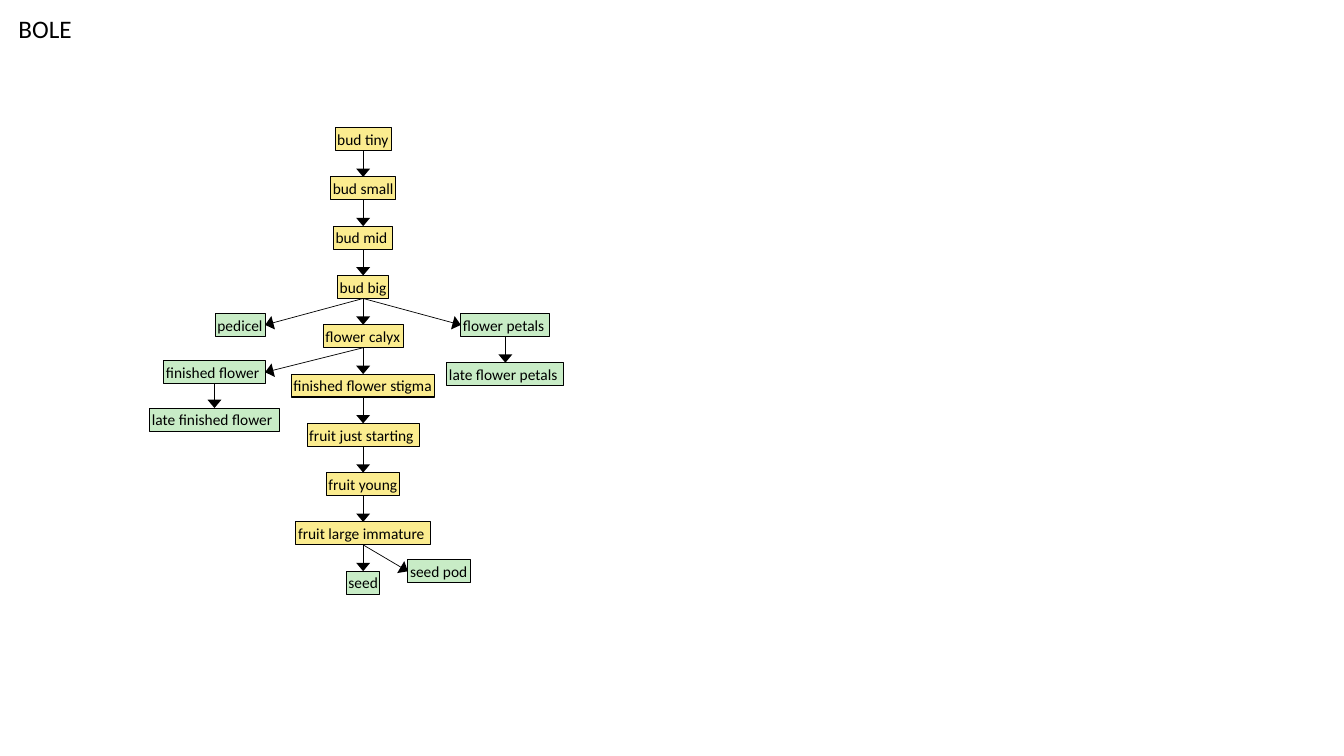
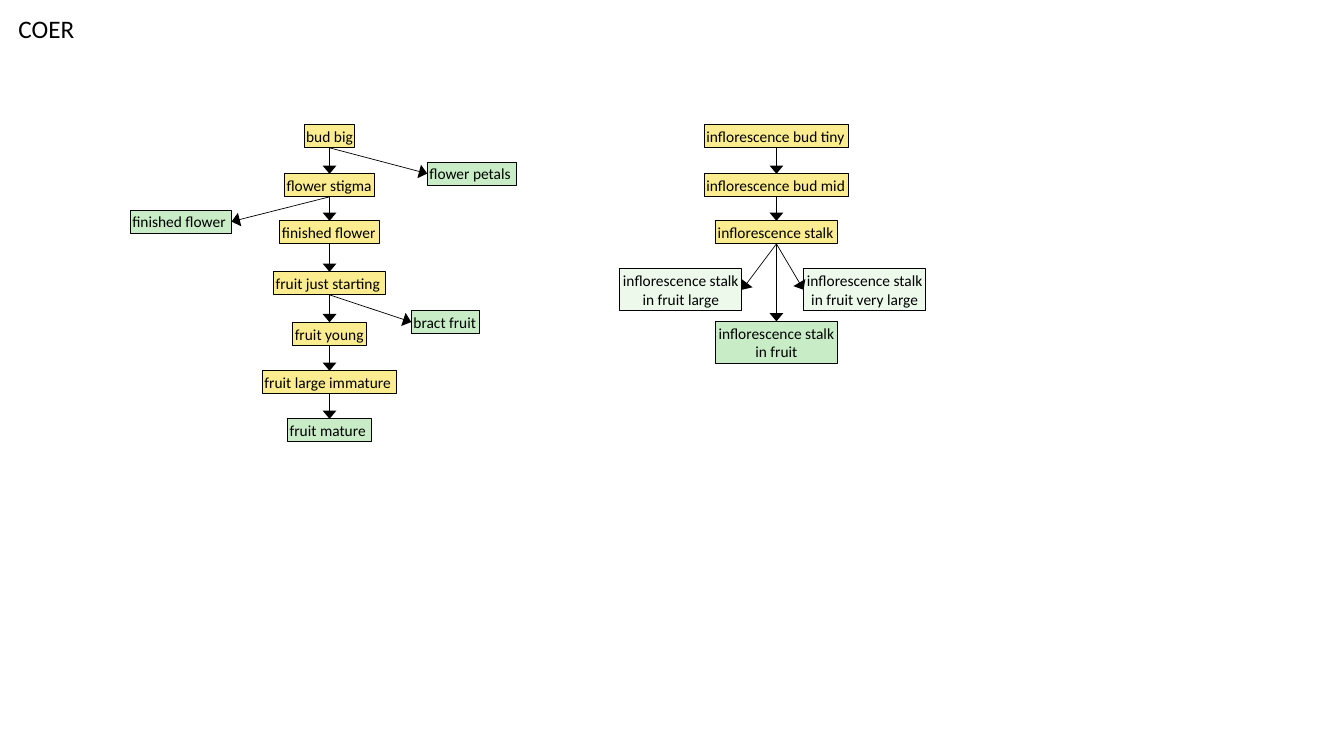
"""Build two slides of flower and fruit growth stages as arrow diagrams."""
from dataclasses import dataclass

from lxml.etree import SubElement
from pptx import Presentation
from pptx.dml.color import RGBColor
from pptx.enum.shapes import MSO_CONNECTOR, MSO_SHAPE
from pptx.enum.text import MSO_ANCHOR, MSO_AUTO_SIZE, PP_ALIGN
from pptx.oxml.ns import qn
from pptx.util import Pt


@dataclass(frozen=True)
class Theme:
    """Colours, type and line sizes of the deck."""
    font: str = "Calibri"
    ink: RGBColor = RGBColor(0, 0, 0)
    stage: RGBColor = RGBColor(0xFB, 0xEC, 0x8F)
    end: RGBColor = RGBColor(0xC8, 0xEC, 0xC6)
    pale: RGBColor = RGBColor(0xEC, 0xF9, 0xEB)
    title_size: float = 18
    label_size: float = 11
    border: float = 0.75
    arrow: float = 0.5
    line_height: float = 13.4
    inset: float = 1.5


THEME = Theme()
SLIDE_SIZE = (960, 540)
TITLE_BOX = (6, 6, 64, 29)

# Each stage: key, parent, label, fill, row, width, reach from parent's centre.
SLIDES = [
    ("BOLE", [
        dict(x=259.4, top=91.2, pitch=35.2, stages=[
            ("tiny", None, "bud tiny", "stage", 0, 40, 0),
            ("small", "tiny", "bud small", "stage", 1, 46.4, 0),
            ("mid", "small", "bud mid", "stage", 2, 42.4, 0),
            ("big", "mid", "bud big", "stage", 3, 36.4, 0),
            ("pedicel", "big", "pedicel", "end", 3.77, 35.6, -70),
            ("petals", "big", "flower petals", "end", 3.77, 63.6, 69.8),
            ("late petals", "petals", "late flower petals", "end", 4.77, 83.6, 0),
            ("calyx", "big", "flower calyx", "stage", 4, 57, 0),
            ("finished", "calyx", "finished flower", "end", 4.73, 72.4, -70),
            ("late finished", "finished", "late finished flower", "end", 5.69, 92.4, 0),
            ("stigma", "calyx", "finished flower stigma", "stage", 5, 102.6, 0),
            ("starting", "stigma", "fruit just starting", "stage", 6, 80, 0),
            ("young", "starting", "fruit young", "stage", 7, 52.6, 0),
            ("large", "young", "fruit large immature", "stage", 8, 96, 0),
            ("seed", "large", "seed", "end", 9, 24, 0),
            ("pod", "large", "seed pod", "end", 8.77, 45, 32),
        ]),
    ]),
    ("COER", [
        dict(x=235.4, top=89.2, pitch=35, stages=[
            ("big", None, "bud big", "stage", 0, 36.4, 0),
            ("petals", "big", "flower petals", "end", 0.76, 63.6, 69.8),
            ("stigma", "big", "flower stigma", "stage", 1, 64.4, 0),
            ("side finished", "stigma", "finished flower", "end", 1.74, 72.4, -70),
            ("finished", "stigma", "finished flower", "stage", 1.96, 71, 0),
            ("starting", "finished", "fruit just starting", "stage", 3, 80, 0),
            ("bract", "starting", "bract fruit", "end", 3.79, 48.6, 58.4),
            ("young", "starting", "fruit young", "stage", 4.03, 52.6, 0),
            ("large", "young", "fruit large immature", "stage", 5.02, 96, 0),
            ("mature", "large", "fruit mature", "end", 6, 60, 0),
        ]),
        dict(x=554.6, top=89.2, pitch=35, stages=[
            ("tiny", None, "inflorescence bud tiny", "stage", 0, 103, 0),
            ("mid", "tiny", "inflorescence bud mid", "stage", 1, 103, 0),
            ("stalk", "mid", "inflorescence stalk", "stage", 1.96, 86.8, 0),
            ("fruit", "stalk", "inflorescence stalk\nin fruit", "end", 4.01, 86.8, 0),
            ("large", "stalk", "inflorescence stalk\nin fruit large", "pale", 2.94, 87.4, -24.6),
            ("very large", "stalk", "inflorescence stalk\nin fruit very large", "pale", 2.94, 87.4, 19.4),
        ]),
    ]),
]


def set_text(sp, text, size, align, **frame):
    """Write the text of a shape in the deck's font."""
    tf = sp.text_frame
    frame.update(word_wrap=True, auto_size=MSO_AUTO_SIZE.NONE)
    for name, value in frame.items():
        setattr(tf, name, value)
    tf.text = text
    for p in tf.paragraphs:
        p.alignment = align
        for name, value in dict(name=THEME.font, size=Pt(size)).items():
            setattr(p.font, name, value)
        p.font.color.rgb = THEME.ink


def add_title(s, text):
    """Move and fill the title placeholder."""
    sp = s.shapes.title
    for name, value in zip(("left", "top", "width", "height"), TITLE_BOX):
        setattr(sp, name, Pt(value))
    set_text(sp, text, THEME.title_size, PP_ALIGN.LEFT, vertical_anchor=MSO_ANCHOR.TOP)


def add_box(s, text, fill, centre, top, width):
    """Add one labelled stage box."""
    lines = text.count("\n") + 1
    height = lines * THEME.line_height + 2 * THEME.inset
    sp = s.shapes.add_shape(MSO_SHAPE.RECTANGLE, Pt(centre - width / 2), Pt(top),
                            Pt(width), Pt(height))
    sp.shadow.inherit = False
    sp.fill.solid()
    sp.fill.fore_color.rgb = getattr(THEME, fill)
    sp.line.color.rgb = THEME.ink
    sp.line.width = Pt(THEME.border)
    inset = Pt(THEME.inset)
    align, left = (PP_ALIGN.CENTER, 0) if lines > 1 else (PP_ALIGN.LEFT, inset)
    set_text(sp, text, THEME.label_size, align, vertical_anchor=MSO_ANCHOR.MIDDLE,
             margin_left=left, margin_top=inset, margin_right=0, margin_bottom=inset)
    return sp


def add_arrow(s, parent, child, reach):
    """Join a parent's bottom to the top or near side of its child."""
    top, left, bottom, right = range(4)
    site = left if reach > 0 else right if reach < 0 else top
    cx = s.shapes.add_connector(MSO_CONNECTOR.STRAIGHT, 0, 0, 0, 0)
    cx.begin_connect(parent, bottom)
    cx.end_connect(child, site)
    cx.line.color.rgb = THEME.ink
    cx.line.width = Pt(THEME.arrow)
    sp_pr = cx.element.spPr
    SubElement(sp_pr.find(qn("a:ln")), qn("a:tailEnd"), type="triangle", w="lg", len="med")
    SubElement(sp_pr, qn("a:effectLst"))


def add_tree(s, x, top, pitch, stages):
    """Place the stages of one tree and join them."""
    boxes, centres = {}, {None: x}
    for key, parent, text, fill, row, width, reach in stages:
        side = (reach > 0) - (reach < 0)
        centres[key] = centres[parent] + reach + side * width / 2
        boxes[key] = add_box(s, text, fill, centres[key], top + row * pitch, width)
        if parent:
            add_arrow(s, boxes[parent], boxes[key], reach)


def main():
    """Build and save the deck."""
    prs = Presentation()
    prs.slide_width, prs.slide_height = map(Pt, SLIDE_SIZE)
    for title, trees in SLIDES:
        s = prs.slides.add_slide(prs.slide_layouts.get_by_name("Title Only"))
        add_title(s, title)
        for tree in trees:
            add_tree(s, **tree)
    prs.save("out.pptx")


if __name__ == "__main__":
    main()
